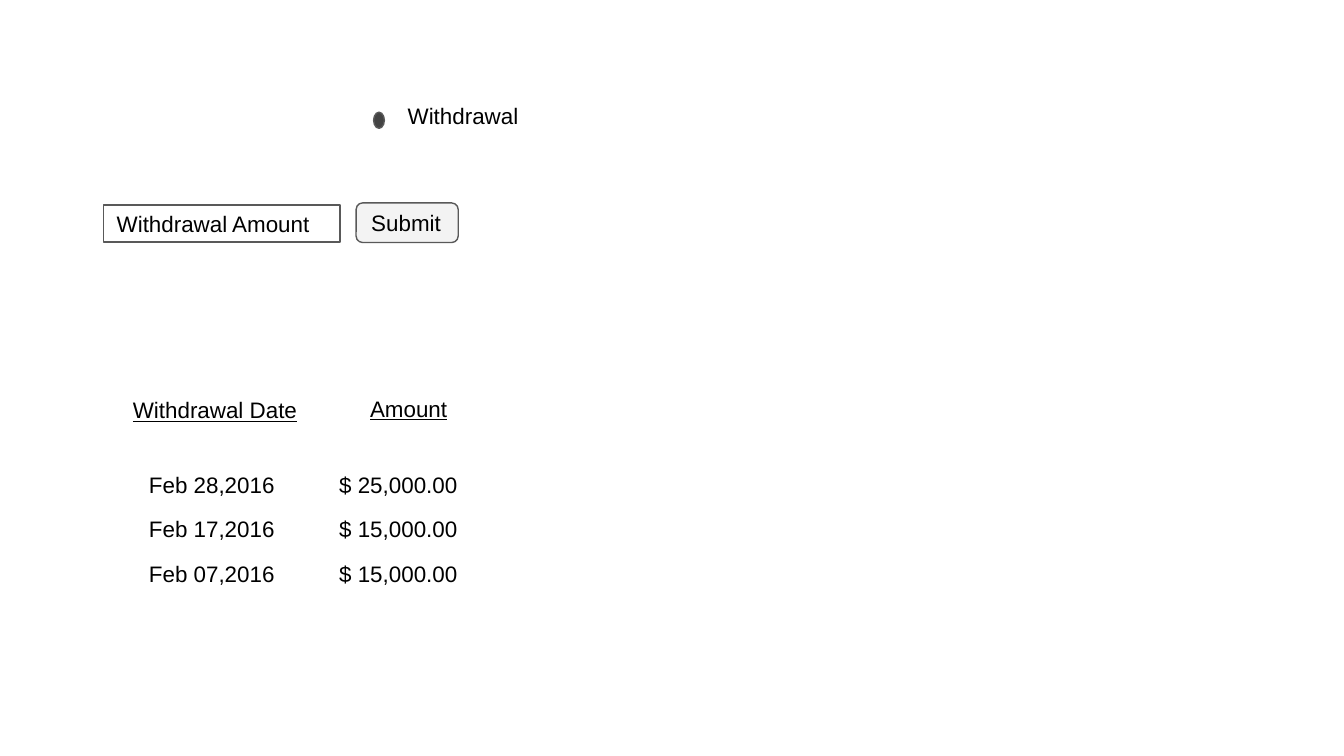
from pptx import Presentation
from pptx.dml.color import RGBColor
from pptx.enum.shapes import MSO_SHAPE
from pptx.enum.text import MSO_ANCHOR, PP_ALIGN
from pptx.util import Emu, Pt

BLACK = RGBColor(0x00, 0x00, 0x00)
WHITE = RGBColor(0xFF, 0xFF, 0xFF)
LIGHT = RGBColor(0xF3, 0xF3, 0xF3)
DARK = RGBColor(0x43, 0x43, 0x43)
OUTLINE = RGBColor(0x59, 0x59, 0x59)

EMU_PER_PX = 4572

WITHDRAWALS = [
    ("Feb 28,2016", "$ 25,000.00"),
    ("Feb 17,2016", "$ 15,000.00"),
    ("Feb 07,2016", "$ 15,000.00"),
]


def px(n):
    return Emu(n * EMU_PER_PX)


def write(sp, text, anchor=MSO_ANCHOR.TOP, underline=None):
    tf = sp.text_frame
    tf.word_wrap = True
    tf.vertical_anchor = anchor
    tf.margin_left = tf.margin_right = tf.margin_top = tf.margin_bottom = px(20)
    p = tf.paragraphs[0]
    p.alignment = PP_ALIGN.LEFT
    r = p.add_run()
    r.text = text
    r.font.name = "Arial"
    r.font.size = Pt(12)
    r.font.color.rgb = BLACK
    r.font.underline = underline


def add_label(s, box, text, underline=None):
    sp = s.shapes.add_textbox(*map(px, box))
    write(sp, text, underline=underline)


def add_control(s, kind, box, fill, text=None):
    sp = s.shapes.add_shape(kind, *map(px, box))
    sp.shadow.inherit = False
    sp.fill.solid()
    sp.fill.fore_color.rgb = fill
    sp.line.color.rgb = OUTLINE
    sp.line.width = Pt(0.75)
    if text:
        write(sp, text, MSO_ANCHOR.MIDDLE)


def add_history(s):
    add_label(s, (178, 570, 338, 44), "Withdrawal Date", True)
    add_label(s, (531, 568, 338, 60), "Amount", True)
    for i, (date, amount) in enumerate(WITHDRAWALS):
        top = 681 + 66 * i
        add_label(s, (202, top, 236, 60), date)
        add_label(s, (485, top, 236, 60), amount)


def main():
    prs = Presentation()
    prs.slide_width, prs.slide_height = px(2000), px(1125)
    s = prs.slides.add_slide(prs.slide_layouts[6])
    s.background.fill.solid()
    s.background.fill.fore_color.rgb = WHITE
    add_label(s, (587, 132, 252, 60), "Withdrawal")
    add_control(s, MSO_SHAPE.FLOWCHART_CONNECTOR, (556, 167, 16, 24), DARK)
    add_control(s, MSO_SHAPE.ROUNDED_RECTANGLE, (530, 302, 152, 59), LIGHT, "Submit")
    add_control(s, MSO_SHAPE.RECTANGLE, (154, 305, 352, 55), WHITE, "Withdrawal Amount")
    add_history(s)
    prs.save("out.pptx")


if __name__ == "__main__":
    main()
